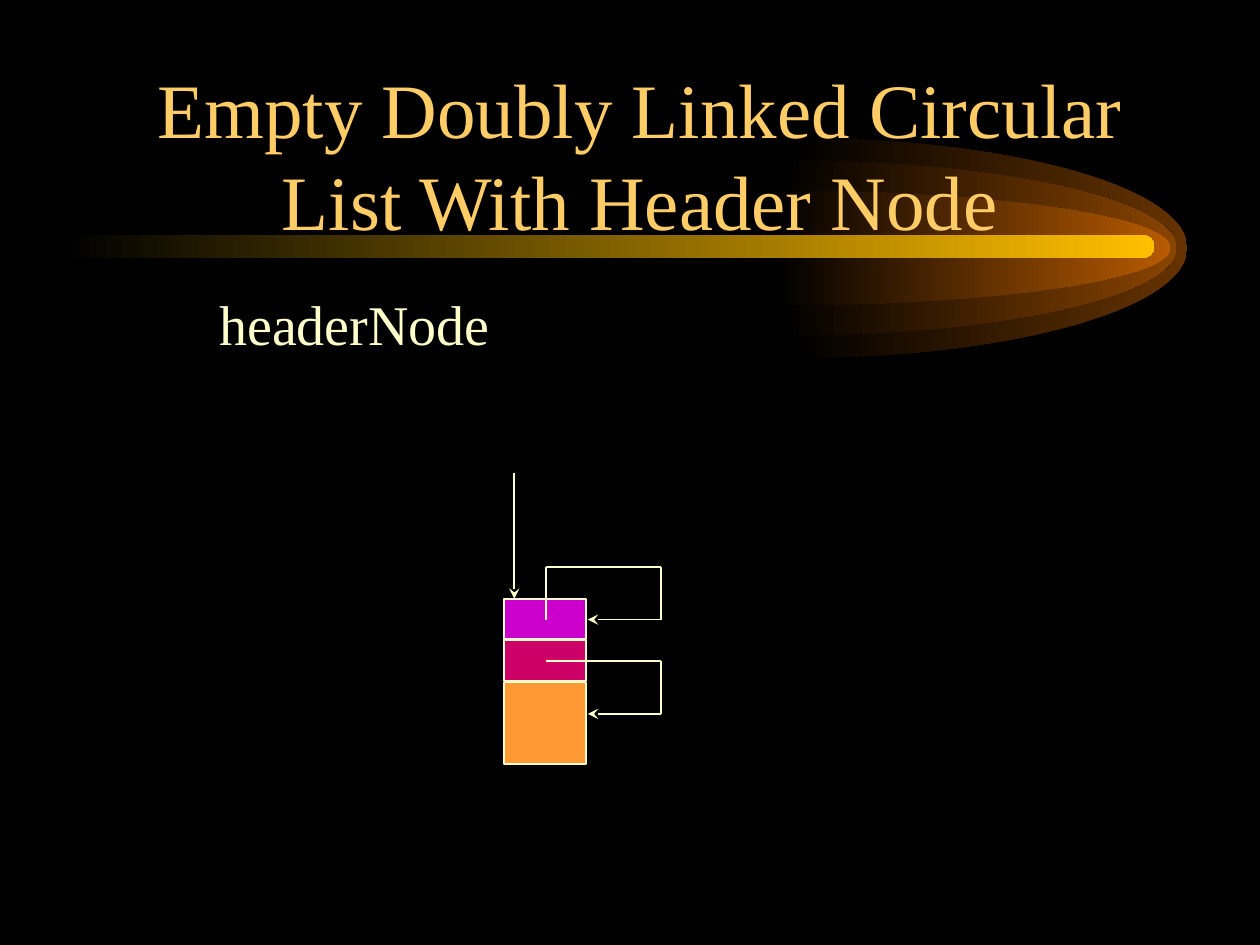
from itertools import pairwise

from lxml import etree
from pptx import Presentation
from pptx.dml.color import RGBColor
from pptx.enum import shapes, text
from pptx.oxml.ns import qn
from pptx.util import Cm, Pt

FONT = "Times New Roman"
BLACK, CREAM, GOLD = "000000", "FFFFCC", "FFCC66"

# Text, left, top, width, height, left inset, size, colour, alignment, anchor
TEXTS = [
    ("Empty Doubly Linked Circular List With Header Node", 2.11, 1.91, 21.59, 3.18,
     0.25, 44, GOLD, text.PP_ALIGN.CENTER, text.MSO_ANCHOR.BOTTOM),
    ("headerNode", 1.91, 5.72, 21.59, 11.43,
     2.51, 32, CREAM, text.PP_ALIGN.LEFT, text.MSO_ANCHOR.TOP),
]

# Comet glow: left edge, half height, end colour
GLOW_WIDTH, GLOW_MIDDLE = 7.95, 5.0
GLOWS = [(15.98, 2.22, "663300"), (15.77, 1.77, "894400"), (15.65, 1.16, "B75B00")]
# Half ellipse as two Bezier curves, in shares of the width and half height
HALF_ELLIPSE = [(0, -1), (0.55, -1), (1, -0.55), (1, 0), (1, 0.55), (0.55, 1), (0, 1)]
BAR = (1.27, 4.74, 22.0, 0.46)

# Node fields: top, height, colour
NODE_LEFT, NODE_WIDTH = 10.16, 1.65
FIELDS = [(12.07, 0.82, "CC00CC"), (12.91, 0.82, "CC0066"), (13.76, 1.65, "FF9933")]

# Each link is a route of corner points that ends in an arrowhead
MIDDLE, RIGHT, NODE_EDGE = 11.0, 13.33, 11.85
LINKS = [
    [(10.37, 9.53), (10.37, 12.07)],
    [(MIDDLE, 12.49), (MIDDLE, 11.43), (RIGHT, 11.43), (RIGHT, 12.49), (NODE_EDGE, 12.49)],
    [(MIDDLE, 13.33), (RIGHT, 13.33), (RIGHT, 14.39), (NODE_EDGE, 14.39)],
]


def rgb(value):
    return RGBColor.from_string(value)


def fade(shape, colour):
    """Fill from black at the left to the colour at the right, without outline."""
    shape.shadow.inherit = False
    shape.line.fill.background()
    shape.fill.gradient()
    shape.fill.gradient_angle = 0
    for stop, position, value in zip(shape.fill.gradient_stops, (0, 1), (BLACK, colour)):
        stop.position = position
        stop.color.rgb = rgb(value)


def curve_segments(shape):
    """Turn each three straight segments of a freeform into one Bezier curve."""
    segments = list(shape.element.iter(qn("a:lnTo")))
    for first, second, third in zip(*[iter(segments)] * 3):
        first.tag = qn("a:cubicBezTo")
        for segment in (second, third):
            first.append(segment[0])
            segment.getparent().remove(segment)


def add_glow(slide, left, half_height, colour):
    points = [(Cm(left + GLOW_WIDTH * across), Cm(GLOW_MIDDLE + half_height * down))
              for across, down in HALF_ELLIPSE]
    builder = slide.shapes.build_freeform(*points[0])
    builder.add_line_segments(points[1:], close=True)
    glow = builder.convert_to_shape()
    curve_segments(glow)
    fade(glow, colour)


def add_text(slide, words, left, top, width, height, inset, size, colour, align, anchor):
    box = slide.shapes.add_textbox(Cm(left), Cm(top), Cm(width), Cm(height))
    frame = box.text_frame
    frame.word_wrap = True
    frame.vertical_anchor = anchor
    frame.margin_left = Cm(inset)
    para = frame.paragraphs[0]
    para.text = words
    para.alignment = align
    para.font.name = FONT
    para.font.size = Pt(size)
    para.font.color.rgb = rgb(colour)


def add_field(slide, top, height, colour):
    field = slide.shapes.add_shape(shapes.MSO_SHAPE.RECTANGLE, Cm(NODE_LEFT), Cm(top),
                                   Cm(NODE_WIDTH), Cm(height))
    field.shadow.inherit = False
    field.fill.solid()
    field.fill.fore_color.rgb = rgb(colour)
    field.line.color.rgb = rgb(CREAM)
    field.line.width = Pt(1)


def add_link(slide, route):
    for start, end in pairwise(route):
        line = slide.shapes.add_connector(shapes.MSO_CONNECTOR.STRAIGHT,
                                          *(Cm(value) for value in start + end))
        line.line.color.rgb = rgb(CREAM)
        line.line.width = Pt(1)
        outline = line.element.spPr.find(qn("a:ln"))
        etree.SubElement(line.element.spPr, qn("a:effectLst"))
    etree.SubElement(outline, qn("a:tailEnd"), type="stealth")


def main():
    deck = Presentation()
    deck.slide_width, deck.slide_height = Cm(25.4), Cm(19.05)
    slide = deck.slides.add_slide(deck.slide_layouts[6])
    slide.background.fill.solid()
    slide.background.fill.fore_color.rgb = rgb(BLACK)

    for glow in GLOWS:
        add_glow(slide, *glow)
    bar = slide.shapes.add_shape(shapes.MSO_SHAPE.ROUNDED_RECTANGLE,
                                 *(Cm(value) for value in BAR))
    bar.adjustments[0] = 0.5
    fade(bar, "FFBF00")

    for words in TEXTS:
        add_text(slide, *words)
    for field in FIELDS:
        add_field(slide, *field)
    for route in LINKS:
        add_link(slide, route)
    deck.save("out.pptx")


if __name__ == "__main__":
    main()
